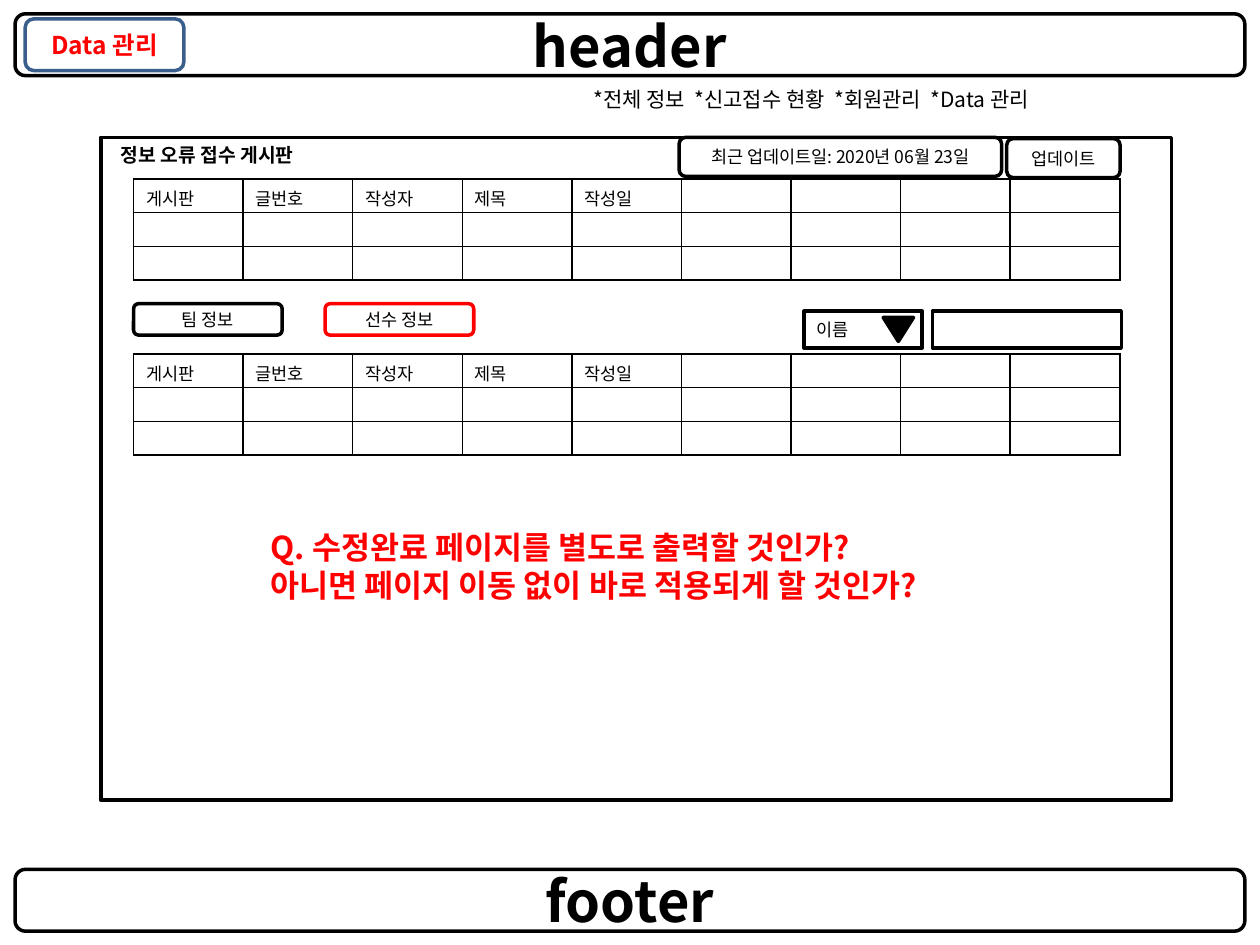
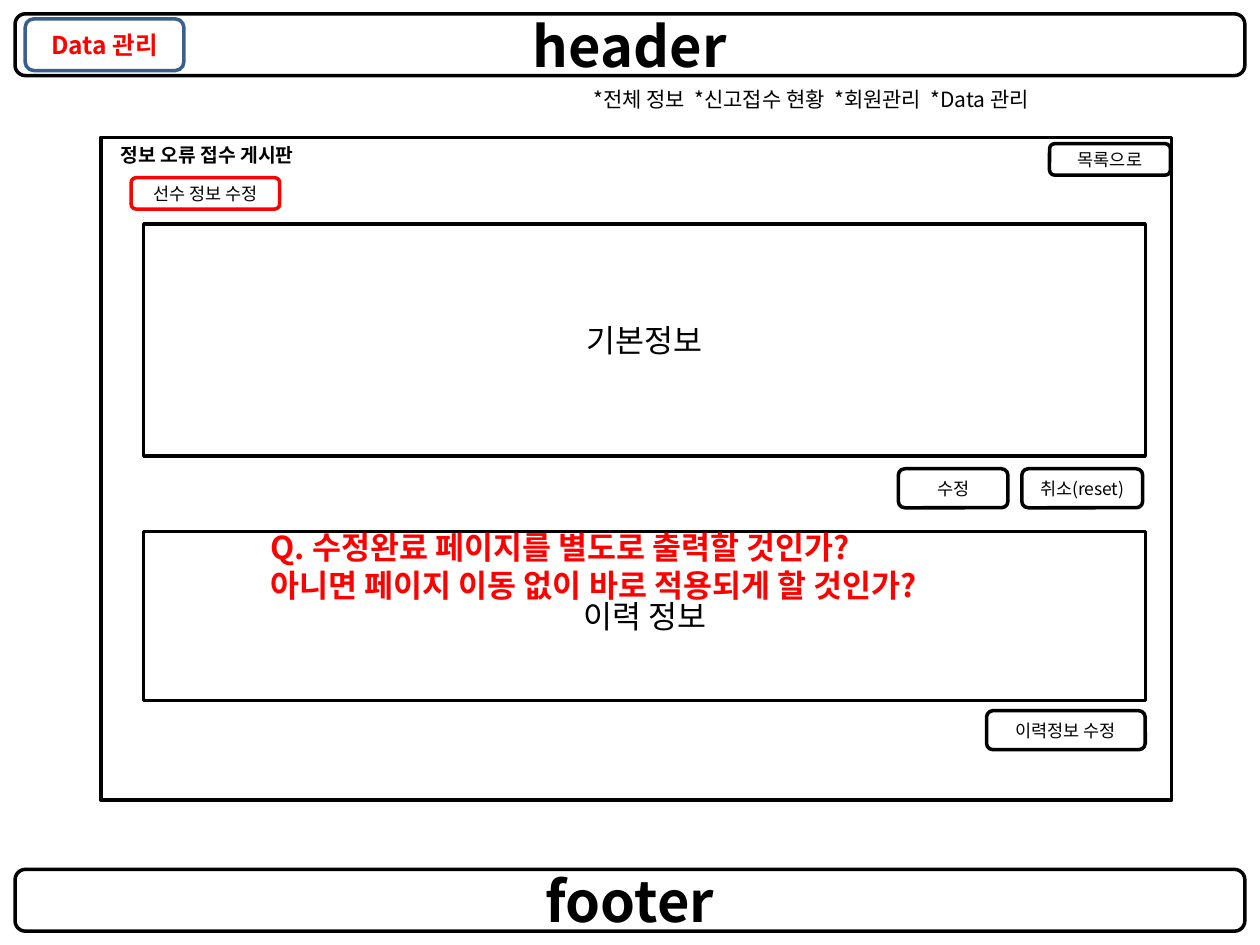
"""Build two wireframe pages of a data management site."""
import dataclasses

import lxml.etree
import pptx
import pptx.dml.color
import pptx.enum.shapes
import pptx.enum.text
import pptx.oxml.ns
import pptx.util

COLUMNS, ROWS = 100, 75  # the layout grid that covers each slide
FONT = "Noto Sans CJK KR"
BLACK, WHITE, RED, BLUE = "000000", "FFFFFF", "FF0000", "3A5F8C"
SHAPE = pptx.enum.shapes.MSO_SHAPE
ALIGN = pptx.enum.text.PP_ALIGN
ANCHOR = pptx.enum.text.MSO_ANCHOR

deck = pptx.Presentation()
deck.slide_width = pptx.util.Inches(10)
deck.slide_height = pptx.util.Inches(7.5)


@dataclasses.dataclass(frozen=True)
class Area:
    """A place on the slide, in grid columns and rows."""
    left: float
    top: float
    width: float
    height: float

    def lengths(self) -> tuple[int, int, int, int]:
        """Return left, top, width and height as slide lengths."""
        column, row = deck.slide_width / COLUMNS, deck.slide_height / ROWS
        return (round(self.left * column), round(self.top * row),
                round(self.width * column), round(self.height * row))


@dataclasses.dataclass(frozen=True)
class Style:
    """The look of a piece of text."""
    size: float = 10
    color: str = BLACK
    bold: bool = False
    align: ALIGN = ALIGN.LEFT


@dataclasses.dataclass(frozen=True)
class Box:
    """An outlined shape with an optional label."""
    area: Area
    label: str = ""
    style: Style = Style(align=ALIGN.CENTER)
    line: str = BLACK
    fill: str | None = None
    kind: SHAPE = SHAPE.ROUNDED_RECTANGLE
    rotation: float = 0


@dataclasses.dataclass(frozen=True)
class Note:
    """Free text without an outline."""
    area: Area
    lines: tuple[str, ...]
    style: Style


BAND = Style(32, bold=True, align=ALIGN.CENTER)
PANEL = Style(18, align=ALIGN.CENTER)
SHARED_BOXES = (
    Box(Area(1.2, 1.1, 97.6, 4.9), "header", BAND, fill=WHITE),
    Box(Area(1.2, 69, 97.6, 4.9), "footer", BAND, fill=WHITE),
    Box(Area(2, 1.5, 12.6, 4.1), "Data 관리",
        Style(14, RED, True, ALIGN.CENTER), BLUE, WHITE),
    Box(Area(8, 10.9, 85, 52.6), kind=SHAPE.RECTANGLE),
)
SHARED_NOTES = (
    Note(Area(46.1, 6.4, 42.9, 3),
         ("*전체 정보  *신고접수 현황  *회원관리  *Data 관리",), Style(12)),
    Note(Area(8.6, 10.9, 27.6, 2.9), ("정보 오류 접수 게시판",),
         Style(11, bold=True)),
)
QUESTION = Note(
    Area(20.5, 41.4, 59.1, 7.1),
    ("Q. 수정완료 페이지를 별도로 출력할 것인가?",
     "아니면 페이지 이동 없이 바로 적용되게 할 것인가?"),
    Style(18, RED, True))

BOARD_HEADINGS = ("게시판", "글번호", "작성자", "제목", "작성일")
BOARD_COLUMNS, BOARD_ROWS = 9, 3
BOARD_TOPS = (14.2, 28.1)
LIST_BOXES = (
    Box(Area(25.8, 24.1, 11.8, 2.5), "선수 정보", line=RED),
    Box(Area(10.6, 24.1, 11.8, 2.5), "팀 정보"),
    Box(Area(79.9, 11, 9, 3.1), "업데이트"),
    Box(Area(53.9, 10.9, 25.6, 3.1), "최근 업데이트일: 2020년 06월 23일"),
    Box(Area(74, 24.7, 15, 2.9), kind=SHAPE.RECTANGLE),
    Box(Area(63.8, 24.7, 9.4, 2.9), "이름", Style(), kind=SHAPE.RECTANGLE),
    Box(Area(70.1, 25.2, 2.4, 1.9), fill=BLACK,
        kind=SHAPE.ISOSCELES_TRIANGLE, rotation=180),
)
EDIT_BOXES = (
    Box(Area(10.4, 14.1, 11.8, 2.5), "선수 정보 수정", line=RED),
    Box(Area(11.4, 42.2, 79.5, 13.4), "이력 정보", PANEL,
        kind=SHAPE.RECTANGLE),
    Box(Area(71.3, 37.2, 8.7, 3.1), "수정"),
    Box(Area(11.4, 17.8, 79.5, 18.4), "기본정보", PANEL,
        kind=SHAPE.RECTANGLE),
    Box(Area(78.3, 56.4, 12.6, 3.1), "이력정보 수정"),
    Box(Area(83.3, 11.4, 9.6, 2.5), "목록으로"),
    Box(Area(81.1, 37.2, 9.6, 3.1), "취소(reset)"),
)


def rgb(color: str) -> pptx.dml.color.RGBColor:
    """Turn a hex string into a colour."""
    return pptx.dml.color.RGBColor.from_string(color)


def write(frame, lines: tuple[str, ...], style: Style) -> None:
    """Fill a text frame with one paragraph per line."""
    frame.text = "\n".join(lines)
    for para in frame.paragraphs:
        para.alignment = style.align
        font = para.font
        font.name, font.size = FONT, pptx.util.Pt(style.size)
        font.bold, font.color.rgb = style.bold, rgb(style.color)
        east_asian = lxml.etree.SubElement(
            font._element, pptx.oxml.ns.qn("a:ea"))
        east_asian.set("typeface", FONT)


def draw_box(page, box: Box) -> None:
    """Draw an outlined shape and its label."""
    shape = page.shapes.add_shape(box.kind, *box.area.lengths())
    shape.shadow.inherit = False
    shape.rotation = box.rotation
    shape.line.color.rgb = rgb(box.line)
    shape.line.width = pptx.util.Pt(2)
    if box.fill:
        shape.fill.solid()
        shape.fill.fore_color.rgb = rgb(box.fill)
    else:
        shape.fill.background()
    if box.label:
        shape.text_frame.vertical_anchor = ANCHOR.MIDDLE
        write(shape.text_frame, (box.label,), box.style)


def draw_note(page, note: Note) -> None:
    """Draw a wrapping text box that grows with its text."""
    frame = page.shapes.add_textbox(*note.area.lengths()).text_frame
    frame.word_wrap = True
    frame.auto_size = pptx.enum.text.MSO_AUTO_SIZE.SHAPE_TO_FIT_TEXT
    write(frame, note.lines, note.style)


def outline_cell(cell) -> None:
    """Give a table cell thin black borders on all sides."""
    properties = cell._tc.get_or_add_tcPr()
    for index, side in enumerate(("lnL", "lnR", "lnT", "lnB")):
        border = lxml.etree.Element(pptx.oxml.ns.qn(f"a:{side}"),
                                    w=str(pptx.util.Pt(1)))
        fill = lxml.etree.SubElement(border, pptx.oxml.ns.qn("a:solidFill"))
        lxml.etree.SubElement(fill, pptx.oxml.ns.qn("a:srgbClr"), val=BLACK)
        properties.insert(index, border)


def draw_board(page, top: float) -> None:
    """Draw an empty board table with its headings."""
    area = Area(10.6, top, 78.3, 8)
    table = page.shapes.add_table(
        BOARD_ROWS, BOARD_COLUMNS, *area.lengths()).table
    table.first_row = table.horz_banding = False
    blanks = ("",) * (BOARD_COLUMNS * BOARD_ROWS - len(BOARD_HEADINGS))
    for cell, label in zip(table.iter_cells(), BOARD_HEADINGS + blanks):
        cell.fill.solid()
        cell.fill.fore_color.rgb = rgb(WHITE)
        outline_cell(cell)
        write(cell.text_frame, (label,), Style())


def add_page(boxes: tuple[Box, ...], board_tops: tuple[float, ...] = ()) -> None:
    """Add a slide with the shared frame and its own parts."""
    page = deck.slides.add_slide(deck.slide_layouts[6])
    for box in SHARED_BOXES:
        draw_box(page, box)
    for note in SHARED_NOTES:
        draw_note(page, note)
    for top in board_tops:
        draw_board(page, top)
    for box in boxes:
        draw_box(page, box)
    draw_note(page, QUESTION)


add_page(LIST_BOXES, BOARD_TOPS)
add_page(EDIT_BOXES)
deck.save("out.pptx")
